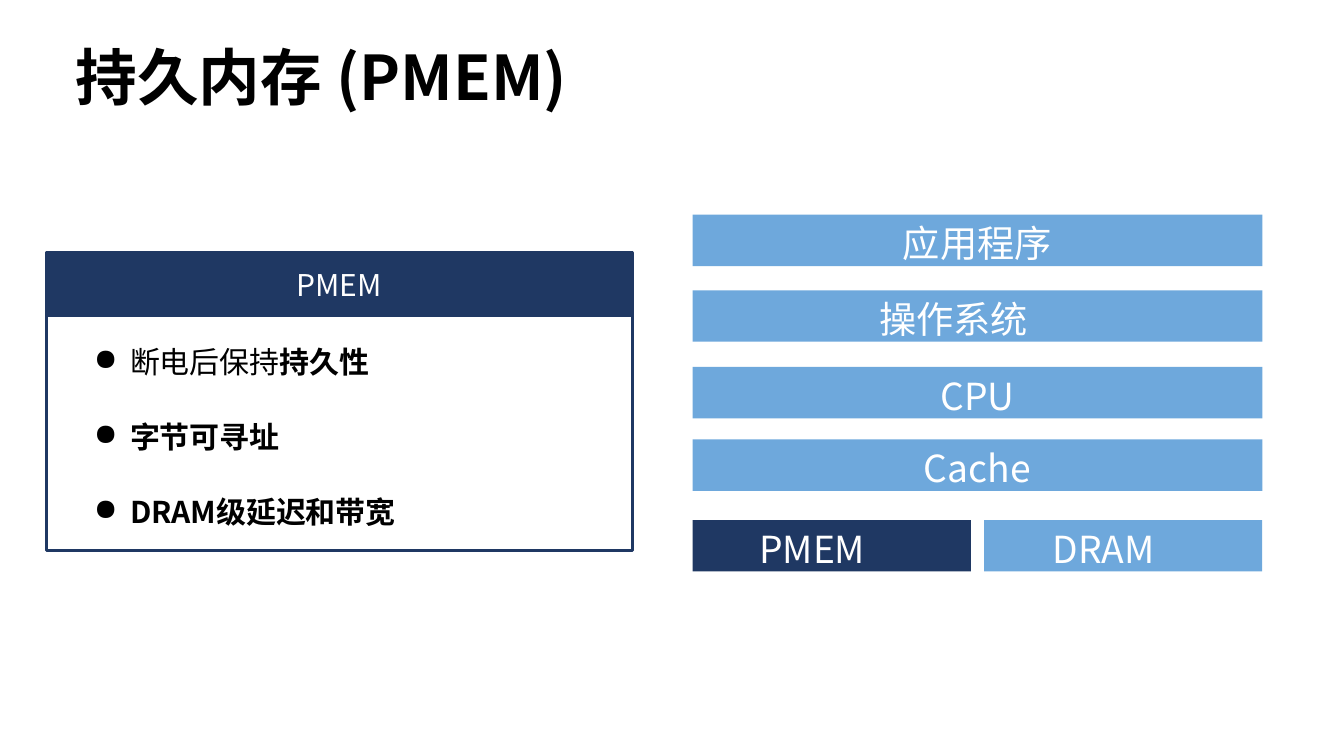
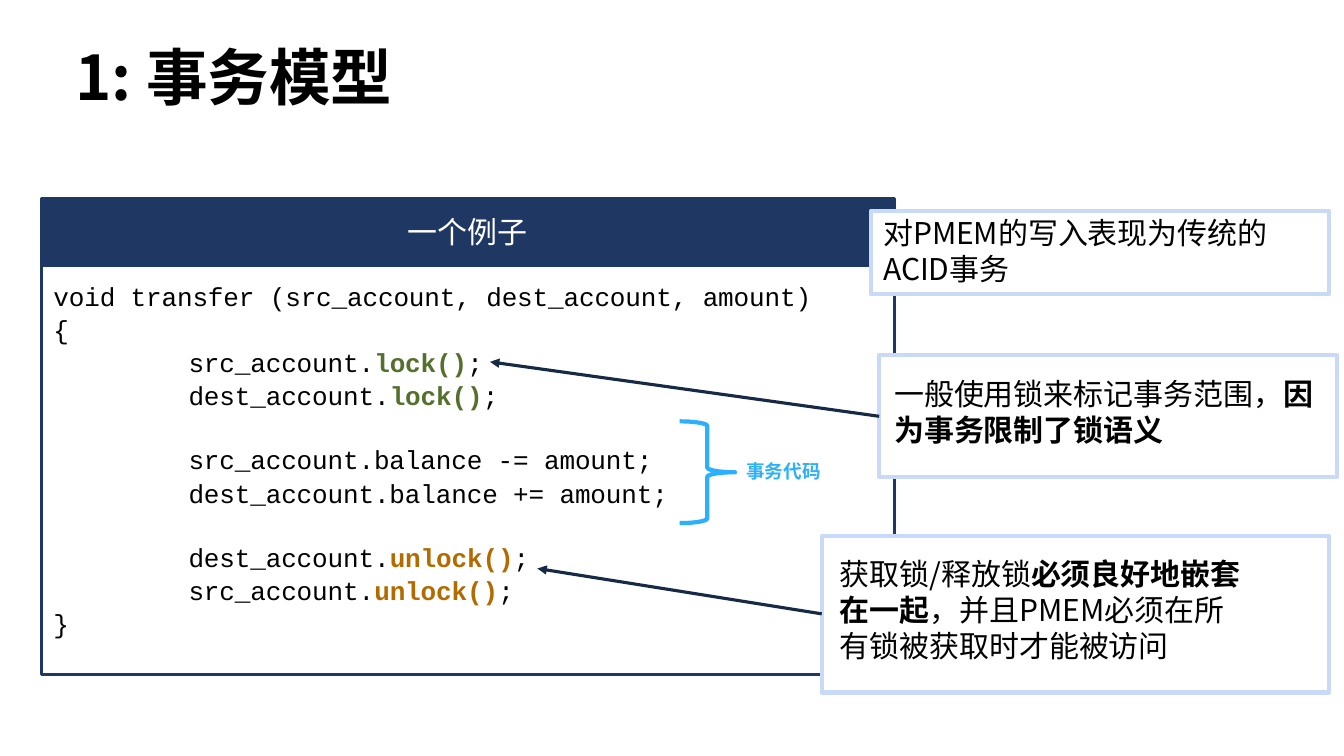
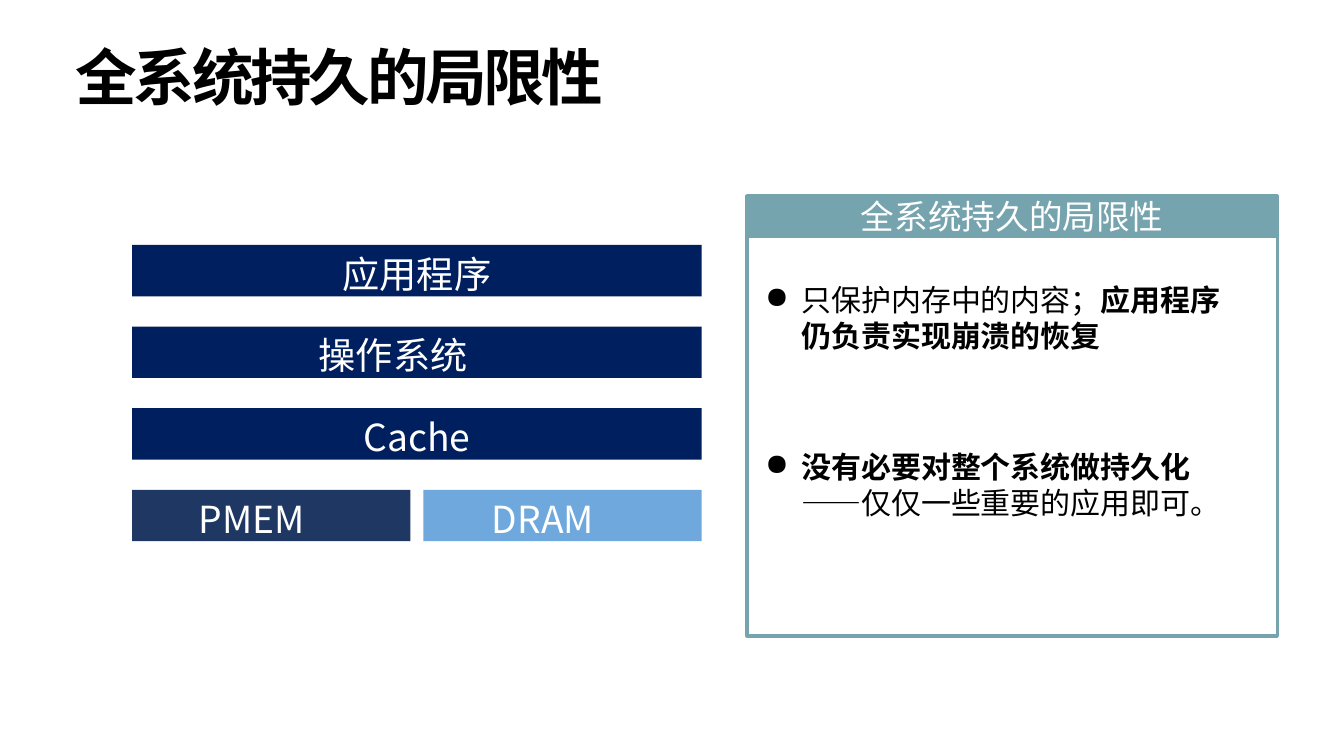
"""Build three slides on persistent memory and its transaction model."""
from lxml.etree import SubElement
from pptx import Presentation
from pptx.dml.color import RGBColor
from pptx.enum.shapes import MSO_CONNECTOR, MSO_SHAPE
from pptx.enum.text import MSO_ANCHOR, MSO_AUTO_SIZE, PP_ALIGN
from pptx.oxml.ns import qn
from pptx.util import Inches, Pt

SANS = "Noto Sans CJK SC"
MONO = "Courier New"
BLACK, WHITE = "000000", "FFFFFF"
NAVY, DEEP_BLUE, SKY, TEAL = "1F3863", "001F5F", "6EA8DC", "76A4AE"
CALLOUT_EDGE, ARROW, BRACE = "C8DAF8", "162A46", "2CB0FD"
LOCK_GREEN, UNLOCK_ORANGE = "556F2D", "B36B00"
BODY_SIZE = 21.4
BAR_WIDTH, HALF_WIDTH, BAR_HEIGHT = 5.65, 2.76, 0.51
LABEL_INDENTS = {"操作系统": 1.85, "PMEM": 0.66, "DRAM": 0.68}


def rgb(value):
    """Return the colour of a hex string."""
    return RGBColor.from_string(value)


def set_frame(frame, insets=(0, 0.02, 0, 0), anchor=MSO_ANCHOR.TOP):
    """Give a text frame its insets (left, top, right, bottom), wrap and anchor."""
    frame.auto_size = MSO_AUTO_SIZE.NONE
    frame.word_wrap = True
    frame.vertical_anchor = anchor
    (frame.margin_left, frame.margin_top,
     frame.margin_right, frame.margin_bottom) = map(Inches, insets)


def write(paragraph, text, size=BODY_SIZE, color=BLACK, face=SANS, bold=False,
          align=PP_ALIGN.LEFT, indent=0, tracking=0, accent=None):
    """Write text in one style; parts between ** are bold, in the accent colour if given."""
    paragraph.alignment = align
    font = paragraph.font
    font.size, font.name, font.bold = Pt(size), face, bold
    font.color.rgb = rgb(color)
    properties = paragraph._p.get_or_add_pPr()
    properties.set("marL", str(Inches(indent)))
    defaults = properties.find(qn("a:defRPr"))
    defaults.set("spc", str(round(tracking * 100)))
    SubElement(defaults, qn("a:ea")).set("typeface", face)
    for position, part in enumerate(text.split("**")):
        if part:
            run = paragraph.add_run()
            run.text = part
            if position % 2:
                run.font.bold = True
                if accent:
                    run.font.color.rgb = rgb(accent)


def add_text(slide, left, top, width, height):
    """Add a wrapped text box and return its frame."""
    frame = slide.shapes.add_textbox(*map(Inches, (left, top, width, height))).text_frame
    set_frame(frame)
    return frame


def add_box(slide, left, top, width, height, fill=None, edge=None, weight=2.25,
            preset=MSO_SHAPE.RECTANGLE):
    """Add a flat preset shape with an optional fill and edge."""
    box = slide.shapes.add_shape(preset, *map(Inches, (left, top, width, height)))
    box.shadow.inherit = False
    if fill:
        box.fill.solid()
        box.fill.fore_color.rgb = rgb(fill)
    else:
        box.fill.background()
    if edge:
        box.line.color.rgb = rgb(edge)
        box.line.width = Pt(weight)
    else:
        box.line.fill.background()
    return box


def add_titled_slide(deck, title, tracking=0):
    """Add a title-only slide with the shared title style."""
    slide = deck.slides.add_slide(deck.slide_layouts[5])
    heading = slide.shapes.title
    heading.left, heading.top, heading.width, heading.height = map(
        Inches, (0.75, 0.36, 9.71, 0.76))
    set_frame(heading.text_frame, anchor=MSO_ANCHOR.MIDDLE)
    write(heading.text_frame.paragraphs[0], title, 44, bold=True, tracking=tracking)
    return slide


def add_panel(slide, left, top, width, header_height, body_height, color, title,
              size=BODY_SIZE):
    """Add an outlined panel under a filled header."""
    add_box(slide, left, top + header_height, width, body_height, edge=color)
    header = add_box(slide, left, top, width, header_height, color, color)
    set_frame(header.text_frame, (0, 0, 0, 0), MSO_ANCHOR.MIDDLE)
    write(header.text_frame.paragraphs[0], title, size, WHITE, align=PP_ALIGN.CENTER)


def add_bullets(slide, left, top, width, height, items, gap, indent):
    """Add a bulleted list with a gap in points between its items."""
    frame = add_text(slide, left, top, width, height)
    for number, item in enumerate(items):
        paragraph = frame.add_paragraph() if number else frame.paragraphs[0]
        write(paragraph, item, indent=indent)
        if number:
            paragraph.space_before = Pt(gap)
        properties = paragraph._p.get_or_add_pPr()
        properties.set("indent", str(-Inches(0.36)))
        bullet = SubElement(properties, qn("a:buChar"))
        bullet.set("char", "●")
        properties.insert_element_before(bullet, "a:tabLst", "a:defRPr")


def add_bar(slide, left, top, width, label, color):
    """Add one labelled layer of a memory stack."""
    bar = add_box(slide, left, top, width, BAR_HEIGHT, color)
    set_frame(bar.text_frame, (0, 0.06, 0, 0))
    indent = LABEL_INDENTS.get(label, 0)
    write(bar.text_frame.paragraphs[0], label, 26.6, WHITE, indent=indent,
          align=PP_ALIGN.LEFT if indent else PP_ALIGN.CENTER)


def add_stack(slide, left, layers, memory_top, color):
    """Add full-width layers above a row of PMEM and DRAM."""
    for label, top in layers:
        add_bar(slide, left, top, BAR_WIDTH, label, color)
    add_bar(slide, left, memory_top, HALF_WIDTH, "PMEM", NAVY)
    add_bar(slide, left + BAR_WIDTH - HALF_WIDTH, memory_top, HALF_WIDTH, "DRAM", SKY)


def add_callout(slide, left, top, width, height, insets, text):
    """Add a white note with a pale blue edge."""
    note = add_box(slide, left, top, width, height, WHITE, CALLOUT_EDGE, 3)
    set_frame(note.text_frame, insets)
    write(note.text_frame.paragraphs[0], text)


def add_arrow(slide, start, end):
    """Add a straight arrow between two points."""
    arrow = slide.shapes.add_connector(
        MSO_CONNECTOR.STRAIGHT, *map(Inches, (*start, *end)))
    arrow.line.color.rgb = rgb(ARROW)
    arrow.line.width = Pt(2.25)
    SubElement(arrow.line._get_or_add_ln(), qn("a:tailEnd")).set("type", "triangle")
    SubElement(arrow._element.spPr, qn("a:effectLst"))


def add_code(slide):
    """Add the transfer function, with a skipped line before each later step."""
    lines = [
        ("void transfer (src_account, dest_account, amount)", 0, 0, None),
        ("{", 0, 1.3, None),
        ("src_account.**lock()**;", 1.34, 1.3, LOCK_GREEN),
        ("dest_account.**lock()**;", 1.34, 1.3, LOCK_GREEN),
        ("src_account.balance -= amount;", 1.34, 23.8, None),
        ("dest_account.balance += amount;", 1.34, 1.3, None),
        ("dest_account.**unlock()**;", 1.34, 23.8, UNLOCK_ORANGE),
        ("src_account.**unlock()**;", 1.34, 1.3, UNLOCK_ORANGE),
        ("}", 0, 1.3, None),
    ]
    frame = add_text(slide, 0.53, 2.76, 8.1, 3.5)
    for number, (text, indent, gap, accent) in enumerate(lines):
        paragraph = frame.add_paragraph() if number else frame.paragraphs[0]
        write(paragraph, text, 18.6, face=MONO, indent=indent, tracking=-0.1,
              accent=accent)
        paragraph.space_before = Pt(gap)


def build_pmem(deck):
    """Build the introduction to persistent memory."""
    slide = add_titled_slide(deck, "持久内存 (PMEM)")
    add_panel(slide, 0.46, 2.51, 5.81, 0.62, 2.33, NAVY, "PMEM")
    add_bullets(slide, 0.91, 3.39, 4.58, 1.87,
                ["断电后保持**持久性**", "**字节可寻址**", "**DRAM级延迟和带宽**"],
                27.8, 0.38)
    layers = [("应用程序", 2.13), ("操作系统", 2.88), ("CPU", 3.64), ("Cache", 4.36)]
    add_stack(slide, 6.87, layers, 5.16, SKY)


def build_transactions(deck):
    """Build the transaction model with its annotated code."""
    slide = add_titled_slide(deck, "1: 事务模型")
    add_panel(slide, 0.41, 1.97, 8.46, 0.66, 4.06, NAVY, "一个例子")
    add_code(slide)
    add_callout(slide, 8.64, 2.09, 4.54, 0.83, (0.12, 0.04, 0.09, 0),
                "对PMEM的写入表现为传统的ACID事务")
    add_callout(slide, 8.72, 3.52, 4.54, 1.21, (0.15, 0.21, 0.04, 0),
                "一般使用锁来标记事务范围，**因为事务限制了锁语义**")
    add_callout(slide, 8.15, 5.32, 5.03, 1.55, (0.18, 0.19, 0.81, 0),
                "获取锁/释放锁**必须良好地嵌套在一起**，并且PMEM必须在所有锁被获取时才能被访问")
    add_arrow(slide, (8.72, 4.13), (4.86, 3.59))
    add_arrow(slide, (8.15, 6.09), (5.33, 5.64))
    add_box(slide, 6.74, 4.18, 0.55, 1.01, edge=BRACE, weight=3,
            preset=MSO_SHAPE.RIGHT_BRACE)
    label = add_text(slide, 7.4, 4.54, 1.24, 0.24)
    write(label.paragraphs[0], "事务代码", 13.3, BRACE, "Arial", bold=True, tracking=0.1)


def build_limits(deck):
    """Build the limits of whole-system persistence."""
    title = "全系统持久的局限性"
    slide = add_titled_slide(deck, title, -2.4)
    add_panel(slide, 7.41, 1.94, 5.26, 0.41, 3.96, TEAL, title, 24)
    add_bullets(slide, 7.59, 2.77, 4.6, 2.4,
                ["只保护内存中的内容；**应用程序仍负责实现崩溃的恢复**",
                 "**没有必要对整个系统做持久化**——仅仅一些重要的应用即可。"],
                68, 0.36)
    tops = [2.43 + 0.81 * row for row in range(4)]
    add_stack(slide, 1.31, zip(("应用程序", "操作系统", "Cache"), tops), tops[3], DEEP_BLUE)


def main():
    """Build and save the deck."""
    deck = Presentation()
    deck.slide_width, deck.slide_height = Inches(13.33), Inches(7.5)
    build_pmem(deck)
    build_transactions(deck)
    build_limits(deck)
    deck.save("out.pptx")


if __name__ == "__main__":
    main()
